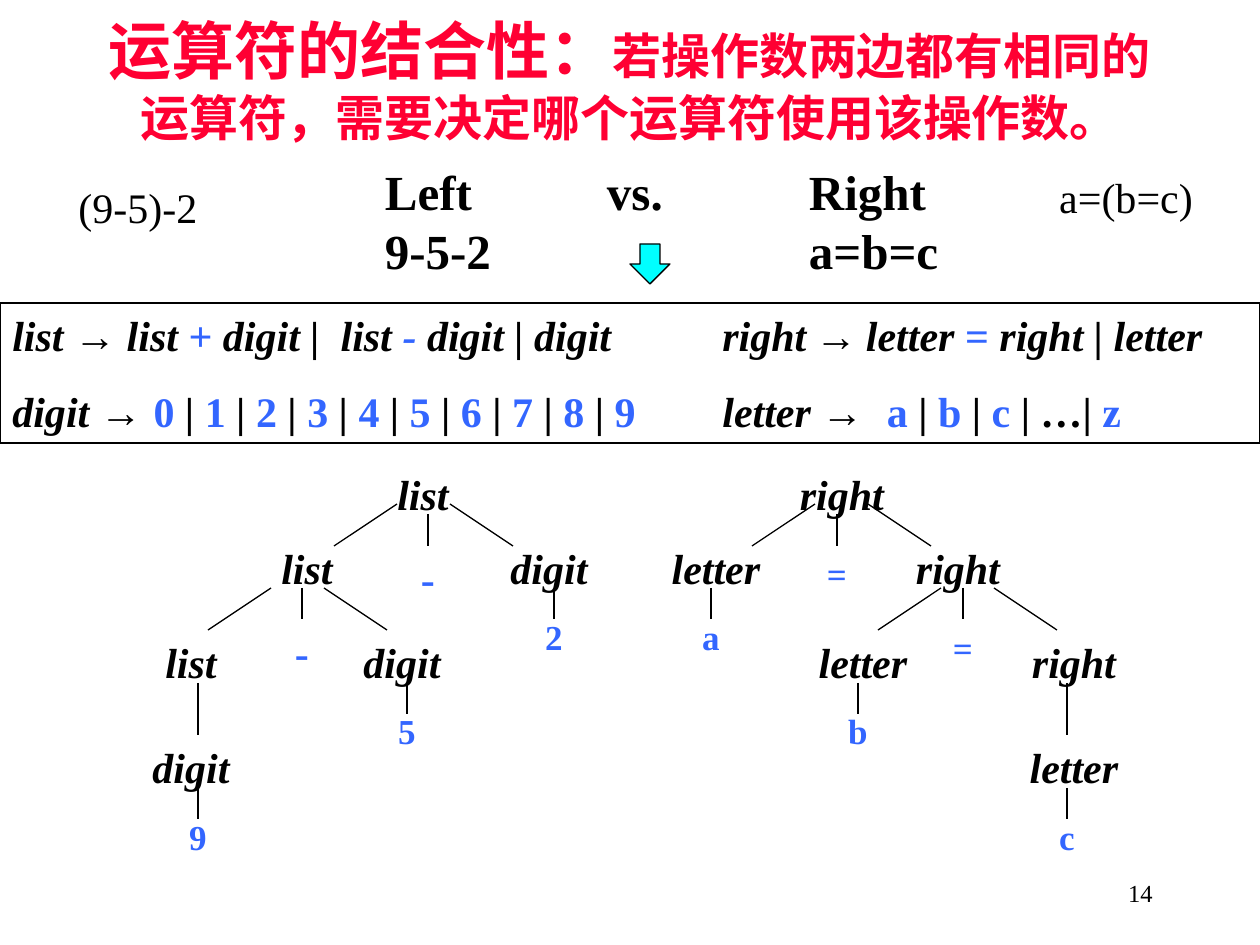
import pptx
import pptx.dml.color
import pptx.enum.shapes
import pptx.enum.text
import pptx.oxml.ns
import pptx.util
from lxml import etree

PX = pptx.util.Inches(1) / 126
ALIGN = pptx.enum.text.PP_ALIGN
ANCHOR = pptx.enum.text.MSO_ANCHOR
SHAPE = pptx.enum.shapes.MSO_SHAPE
BLACK, BLUE, RED, CYAN = "000000", "3366FF", "FF0033", "00FFFF"


def px(*lengths):
    return [round(length * PX) for length in lengths]


def color(hex_string):
    return pptx.dml.color.RGBColor.from_string(hex_string)


def styled(text, size=24, font="Times New Roman", fill=BLACK, bold=True, italic=False):
    """One piece of text with its format."""
    return dict(text=text, size=size, font=font, fill=fill, bold=bold, italic=italic)


class Board:
    """Holds the line style and the slide, and draws each kind of element."""

    line_width = pptx.util.Pt(0.75)

    def __init__(self, slide):
        self.slide = slide
        self.shapes = slide.shapes

    def start_group(self):
        self.shapes = self.slide.shapes.add_group_shape().shapes

    def end_group(self):
        self.shapes = self.slide.shapes

    def outline(self, line):
        line.color.rgb = color(BLACK)
        line.width = self.line_width

    def fill_text(self, shape, paragraphs, align=ALIGN.LEFT, anchor=ANCHOR.TOP,
                  tabs=(), gap=0, inset=None):
        frame = shape.text_frame
        frame.word_wrap = True
        frame.vertical_anchor = anchor
        if inset:
            frame.margin_left = px(inset)[0]
        for index, pieces in enumerate(paragraphs):
            paragraph = frame.add_paragraph() if index else frame.paragraphs[0]
            paragraph.alignment = align
            if tabs:
                tab_list = etree.SubElement(paragraph._p.get_or_add_pPr(),
                                            pptx.oxml.ns.qn("a:tabLst"))
                for position in px(*tabs):
                    etree.SubElement(tab_list, pptx.oxml.ns.qn("a:tab"),
                                     pos=str(position), algn="l")
            if index and gap:
                paragraph.space_before = pptx.util.Pt(gap)
            for piece in pieces:
                run = paragraph.add_run()
                run.text = piece["text"]
                run.font.name = piece["font"]
                run.font.size = pptx.util.Pt(piece["size"])
                run.font.bold = piece["bold"]
                run.font.italic = piece["italic"]
                run.font.color.rgb = color(piece["fill"])

    def text(self, box, *paragraphs, **layout):
        self.fill_text(self.shapes.add_textbox(*px(*box)), paragraphs, **layout)

    def shape(self, kind, box, *paragraphs, fill=None, **layout):
        shape = self.shapes.add_shape(kind, *px(*box))
        shape.shadow.inherit = False
        if fill:
            shape.fill.solid()
            shape.fill.fore_color.rgb = color(fill)
        else:
            shape.fill.background()
        self.outline(shape.line)
        if paragraphs:
            self.fill_text(shape, paragraphs, **layout)

    def line(self, x1, y1, x2, y2):
        connector = self.shapes.add_connector(
            pptx.enum.shapes.MSO_CONNECTOR.STRAIGHT, *px(x1, y1, x2, y2))
        self.outline(connector.line)
        etree.SubElement(connector._element.spPr, pptx.oxml.ns.qn("a:effectLst"))

    def label(self, center, top, width, height, piece):
        self.text((center - width / 2, top, width, height), [piece], align=ALIGN.CENTER)


def name(text):
    return styled(text, italic=True)


def arrow(text):
    return styled(text, font="Arial")


def terminal(text):
    return styled(text, fill=BLUE)


def alternatives(symbols):
    """Terminals with a bar between each two."""
    pieces = [terminal(symbols[0])]
    for symbol in symbols[1:]:
        pieces += [styled(" | "), terminal(symbol)]
    return pieces


# Tree layout, as center x and top y; the left tree mirrors the right one
MIRROR = 1265
NODES = [(842, 462), (716, 536), (863, 630), (958, 536), (1074, 735), (1074, 630)]
LEAVES = [(1067, 809), (858, 703), (711, 609)]
OPERATORS = [(963, 620), (837, 546)]
SLANTS = [(868, 504, 931, 546), (752, 546, 815, 504),
          (994, 588, 1057, 630), (878, 630, 941, 588)]
STEMS = [(837, 514, 546), (1067, 788, 819), (858, 683, 714),
         (711, 588, 619), (963, 588, 619), (1067, 683, 735)]


def draw_tree(board, inner, outer, leaves, operator, operator_size, mirrored=False):
    def across(x):
        return MIRROR - x if mirrored else x

    board.start_group()
    words = [inner, outer, outer, inner, outer, inner]
    for (x, y), word in zip(NODES, words):
        board.label(across(x), y, 116, 63, name(word))
    for (x, y), leaf in zip(LEAVES, leaves):
        board.label(across(x), y, 63, 55, styled(leaf, size=20, fill=BLUE))
    for x, y in OPERATORS:
        board.label(across(x), y, 63, 63, styled(operator, size=operator_size, fill=BLUE))
    for x1, y1, x2, y2 in SLANTS:
        board.line(across(x1), y1, across(x2), y2)
    for x, top, bottom in STEMS:
        board.line(across(x), top, across(x), bottom)
    board.end_group()


def main():
    presentation = pptx.Presentation()
    presentation.slide_width, presentation.slide_height = px(1260, 945)
    board = Board(presentation.slides.add_slide(presentation.slide_layouts[6]))

    # Title
    board.text((94, 0, 1071, 158), [
        styled("运算符的结合性：", size=36, font="Arial", fill=RED),
        styled("若操作数两边都有相同的运算符，需要决定哪个运算符使用该操作数。",
               size=28, font="Arial", fill=RED),
    ], align=ALIGN.CENTER, anchor=ANCHOR.MIDDLE)

    # Left and right associativity, with their groupings
    board.text((105, 155, 1091, 131),
               [styled("Left\tvs.\tRight", size=28)],
               [styled("9-5-2\t\ta=b=c", size=28)],
               tabs=(222, 424), inset=280)
    for box, grouping in [((44, 175, 188, 66), "(9-5)-2"), ((1027, 165, 198, 66), "a=(b=c)")]:
        board.text(box, [styled(grouping, bold=False)], align=ALIGN.CENTER)
    board.shape(SHAPE.DOWN_ARROW, (630, 244, 40, 40), fill=CYAN)

    # Grammar rules
    board.shape(
        SHAPE.RECTANGLE, (0, 303, 1260, 140),
        [name("list "), arrow("→"), name(" list "), terminal("+"),
         name(" digit |  list "), styled("-", fill=BLUE, italic=True),
         name(" digit | digit\tright"), styled(" ", size=20), arrow("→"),
         styled(" ", size=20), name("letter "), terminal("="), name(" right | letter")],
        [name("digit "), arrow("→ "), *alternatives("0123456789"),
         name("\tletter "), arrow("→  "), *alternatives("abc"),
         styled(" | …| "), terminal("z")],
        tabs=(710,), gap=15)

    # Parse trees
    draw_tree(board, "right", "letter", "cba", "=", 20)
    draw_tree(board, "list", "digit", "952", "-", 24, mirrored=True)

    # Slide number
    board.text((903, 861, 262, 63), [styled("14", size=14, bold=False)],
               align=ALIGN.RIGHT, anchor=ANCHOR.MIDDLE)

    presentation.save("out.pptx")


if __name__ == "__main__":
    main()
